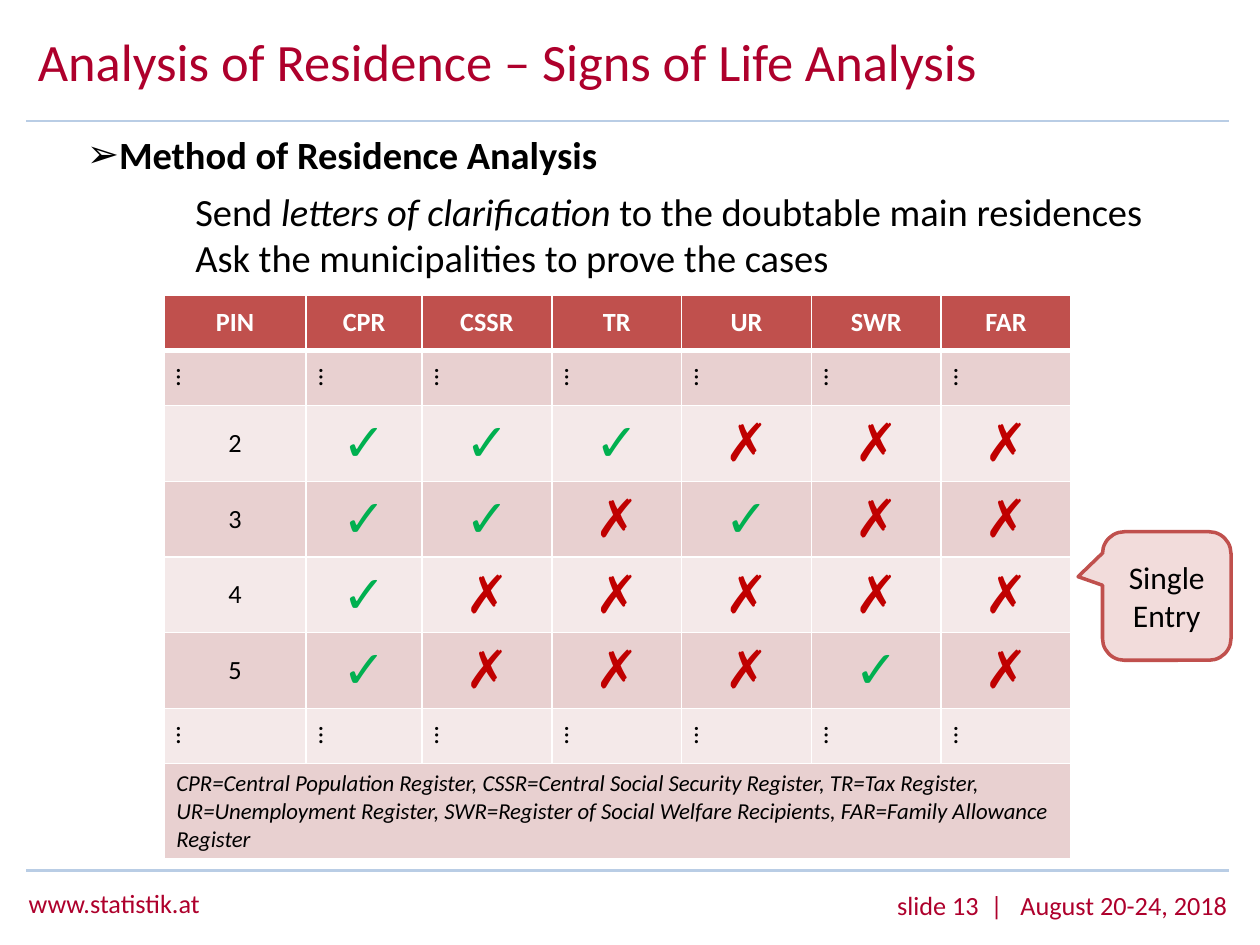
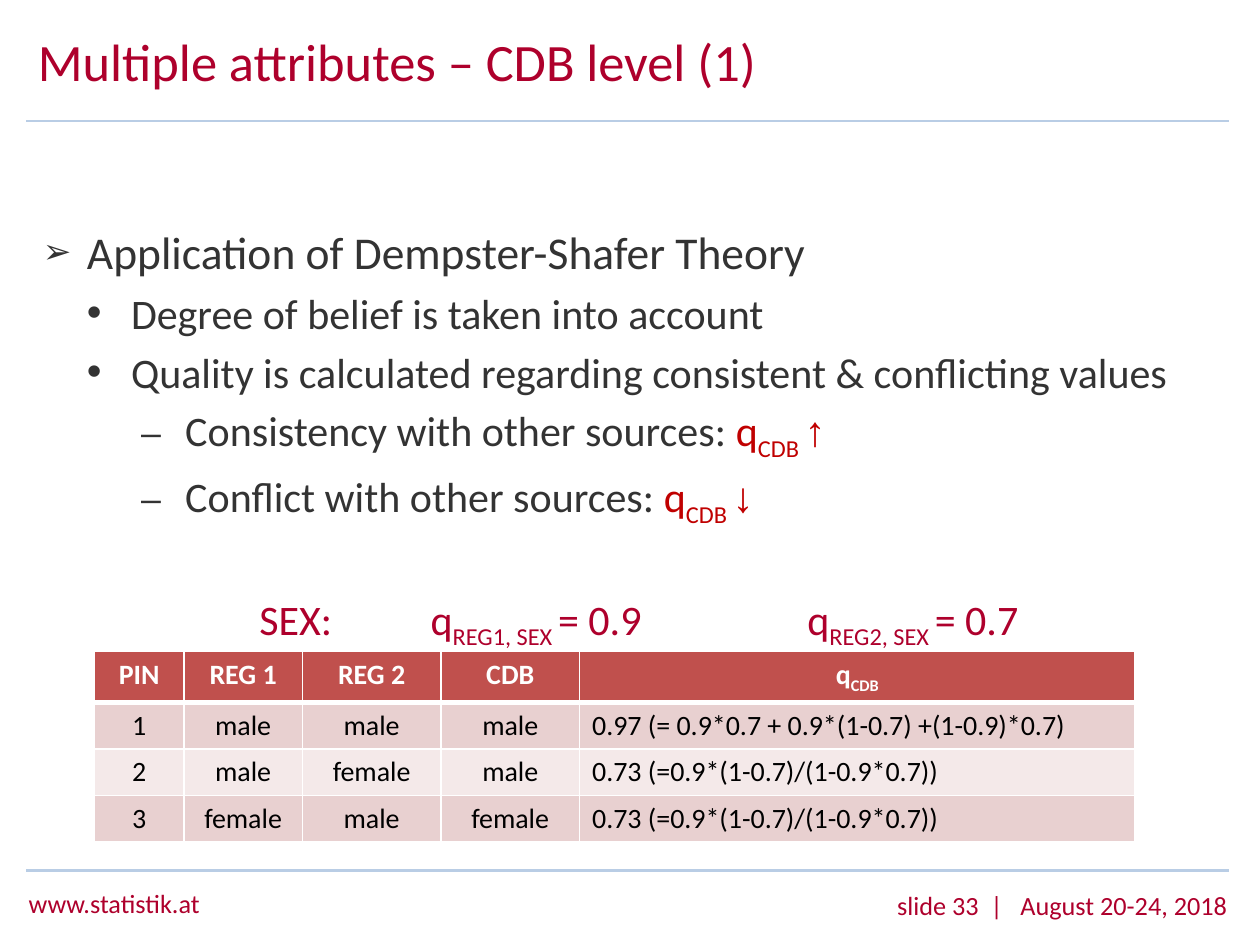
from dataclasses import dataclass

from lxml import etree
from pptx import Presentation
from pptx.dml.color import RGBColor
from pptx.enum.shapes import MSO_CONNECTOR, MSO_SHAPE
from pptx.enum.text import MSO_ANCHOR, MSO_AUTO_SIZE, PP_ALIGN
from pptx.oxml.ns import qn
from pptx.util import Inches, Pt

LEFT, CENTER, RIGHT = PP_ALIGN.LEFT, PP_ALIGN.CENTER, PP_ALIGN.RIGHT
TOP, MIDDLE = MSO_ANCHOR.TOP, MSO_ANCHOR.MIDDLE
NO_AUTOFIT = MSO_AUTO_SIZE.NONE
STRAIGHT = MSO_CONNECTOR.STRAIGHT
CALLOUT = MSO_SHAPE.ROUNDED_RECTANGULAR_CALLOUT


@dataclass(frozen=True)
class Theme:
    """Colours, fonts and type sizes of the deck."""
    font: str = "Calibri"
    arrow_font: str = "Times New Roman"
    brand: str = "AE002C"
    rule: str = "B9CDE5"
    white: str = "FFFFFF"
    black: str = "000000"
    body: str = "333333"
    accent: str = "C0504D"
    bands: tuple = ("E8D0D0", "F4E9E9")
    callout: str = "F2DCDB"
    yes: str = "00B050"
    no: str = "C00000"
    title_size: int = 30
    topic_size: int = 26
    list_size: int = 24
    method_size: int = 22
    callout_size: int = 18
    quality_size: int = 16
    small_size: int = 15
    legend_size: int = 13
    mark_size: int = 30


THEME = Theme()
SUB = {"baseline": "-25000"}
RED = {"color": THEME.no}
RED_SUB = {**RED, **SUB}
RED_ARROW = {**RED, "font": THEME.arrow_font}


@dataclass(frozen=True)
class Item:
    """One list paragraph: its spans, bullet, indents in inches and spacing in points."""
    spans: tuple
    size: int
    level: int = 0
    left: float = 0
    hang: float = 0
    bullet: str = ""
    bullet_percent: int = 100
    before: float = 0
    after: float = 0


def rgb(code):
    """Turn a hex code into a colour."""
    return RGBColor.from_string(code)


def format_span(span, size, color, bold=False, italic=False, font=THEME.font, baseline=None):
    """Give a run its font, size, colour and emphasis."""
    span.font.name, span.font.size = font, Pt(size)
    span.font.bold, span.font.italic = bold, italic
    span.font.color.rgb = rgb(color)
    if baseline:
        span._r.get_or_add_rPr().set("baseline", baseline)


def write_spans(para, spans, size, color, **common):
    """Fill a paragraph with (text, style) spans."""
    for text, style in spans:
        span = para.add_run()
        span.text = text
        format_span(span, size, **{"color": color, **common, **style})


def write_line(frame, text, size, color, align=LEFT, **style):
    """Put one formatted paragraph in a text frame."""
    frame.text = text
    para = frame.paragraphs[0]
    para.alignment = align
    for span in para.runs:
        format_span(span, size, color, **style)
    return para


def place(shape, box):
    """Move a shape to a left, top, width, height box."""
    shape.left, shape.top, shape.width, shape.height = map(Inches, box)


def add_label(page, box, text="", size=THEME.small_size, align=LEFT):
    """Add a text box in the brand colour."""
    frame = page.shapes.add_textbox(*map(Inches, box)).text_frame
    frame.word_wrap = True
    write_line(frame, text, size, THEME.brand, align)
    return frame


def add_rule(page, y):
    """Draw a horizontal rule across the page."""
    rule = page.shapes.add_connector(STRAIGHT, Inches(0.21), Inches(y), Inches(9.75), Inches(y))
    rule.line.color.rgb = rgb(THEME.rule)
    rule.line.width = Pt(1.5)
    etree.SubElement(rule._element.spPr, qn("a:effectLst"))


def add_page(deck, title, number):
    """Add a page with its title, two rules and footer."""
    page = deck.slides.add_slide(deck.slide_layouts[1])
    heading = page.shapes.title
    place(heading, (0.2, 0.05, 8.43, 0.94))
    frame = heading.text_frame
    frame.auto_size, frame.vertical_anchor = NO_AUTOFIT, MIDDLE
    write_line(frame, title, THEME.title_size, THEME.brand).line_spacing = Pt(30)
    for y in (0.96, 6.91):
        add_rule(page, y)
    add_label(page, (0.13, 6.99, 2.27, 0.35), "www.statistik.at")
    footer = f"slide {number}  |   August 20-24, 2018"
    add_label(page, (5.68, 7.01, 4.16, 0.35), footer, align=RIGHT)
    return page


def set_bullet(para, item):
    """Set a paragraph's indents and bullet."""
    properties = para._p.get_or_add_pPr()
    properties.set("marL", str(Inches(item.left)))
    properties.set("indent", str(Inches(-item.hang)))
    if item.bullet:
        etree.SubElement(properties, qn("a:buSzPct"), val=str(item.bullet_percent * 1000))
        etree.SubElement(properties, qn("a:buChar"), char=item.bullet)
    else:
        etree.SubElement(properties, qn("a:buNone"))


def fill_body(page, box, items, color):
    """Place the body placeholder and write its list."""
    body = page.placeholders[1]
    place(body, box)
    frame = body.text_frame
    frame.auto_size, frame.vertical_anchor = NO_AUTOFIT, TOP
    for index, item in enumerate(items):
        para = frame.add_paragraph() if index else frame.paragraphs[0]
        para.level = item.level
        set_bullet(para, item)
        para.space_before, para.space_after = Pt(item.before), Pt(item.after)
        write_spans(para, item.spans, item.size, color)


def paint_cell(cell, row):
    """Fill a cell by row band and draw its white borders."""
    cell.fill.solid()
    cell.fill.fore_color.rgb = rgb(THEME.bands[(row - 1) % 2] if row else THEME.accent)
    properties = cell._tc.get_or_add_tcPr()
    for index, side in enumerate("LRTB"):
        heavy = (side, row) in (("B", 0), ("T", 1))
        border = etree.Element(qn(f"a:ln{side}"), w=str(Pt(3 if heavy else 1)))
        fill = etree.SubElement(border, qn("a:solidFill"))
        etree.SubElement(fill, qn("a:srgbClr"), val=THEME.white)
        properties.insert(index, border)


def add_grid(page, corner, widths, heights):
    """Add a banded table with the given column widths and row heights."""
    box = (*corner, sum(widths), sum(heights))
    grid = page.shapes.add_table(len(heights), len(widths), *map(Inches, box)).table
    for column, width in zip(grid.columns, widths):
        column.width = Inches(width)
    for index, height in enumerate(heights):
        grid.rows[index].height = Inches(height)
        for cell in grid.rows[index].cells:
            paint_cell(cell, index)
    return grid


def write_register_cell(cell, text, header):
    """Write a heading, mark, ellipsis or PIN in a register cell."""
    cell.vertical_anchor = MIDDLE
    marks = {"✓": THEME.yes, "✗": THEME.no}
    size = THEME.mark_size if text in marks else THEME.small_size
    color = THEME.white if header else marks.get(text, THEME.black)
    write_line(cell.text_frame, text, size, color, CENTER, bold=header)
    if text == "…":
        cell._tc.get_or_add_tcPr().set("vert", "vert")


def add_register_table(page, corner):
    """Show which registers hold a sign of life for each PIN."""
    rows = (("PIN", "CPR", "CSSR", "TR", "UR", "SWR", "FAR"), "…" * 7,
            "2✓✓✓✗✗✗", "3✓✓✗✓✗✗", "4✓✗✗✗✗✗", "5✓✗✗✗✓✗", "…" * 7)
    legend = ("CPR=Central Population Register, CSSR=Central Social Security Register, "
              "TR=Tax Register, UR=Unemployment Register, SWR=Register of Social Welfare "
              "Recipients, FAR=Family Allowance Register")
    heights = [0.44] * 2 + [0.6] * 4 + [0.44, 0.74]
    grid = add_grid(page, corner, [1.13, 0.92] + [1.03] * 5, heights)
    for row, texts in enumerate(rows):
        for column, text in enumerate(texts):
            write_register_cell(grid.cell(row, column), text, row == 0)
    footer = grid.cell(len(rows), 0)
    footer.merge(grid.cell(len(rows), 6))
    footer.vertical_anchor = MIDDLE
    write_line(footer.text_frame, legend, THEME.legend_size, THEME.black, italic=True)


def add_callout(page, box, text):
    """Add the callout pointing at the single-entry row."""
    callout = page.shapes.add_shape(CALLOUT, *map(Inches, box))
    callout.shadow.inherit = False
    for index, value in enumerate((-0.69, -0.15, 0.17)):
        callout.adjustments[index] = value
    callout.fill.solid()
    callout.fill.fore_color.rgb = rgb(THEME.callout)
    callout.line.color.rgb = rgb(THEME.accent)
    callout.line.width = Pt(2)
    callout.text_frame.vertical_anchor = MIDDLE
    write_line(callout.text_frame, text, THEME.callout_size, THEME.black, CENTER)


def add_quality_caption(page, box):
    """Write the quality of each register on tab stops."""
    para = add_label(page, box).paragraphs[0]
    stops = etree.SubElement(para._p.get_or_add_pPr(), qn("a:tabLst"))
    for position in (1.36, 4.35):
        etree.SubElement(stops, qn("a:tab"), pos=str(Inches(position)), algn="l")
    spans = (("SEX:\tq", {}), ("REG1, SEX ", SUB), ("= 0.9\tq", {}),
             ("REG2, SEX ", SUB), ("= 0.7", {}))
    write_spans(para, spans, THEME.list_size, THEME.brand)


def add_quality_table(page, corner):
    """Show the combined quality for each PIN."""
    conflict = "0.73 (=0.9*(1-0.7)/(1-0.9*0.7))"
    rows = (("PIN", "REG 1", "REG 2", "CDB", "q"),
            ("1", "male", "male", "male", "0.97 (= 0.9*0.7 + 0.9*(1-0.7) +(1-0.9)*0.7)"),
            ("2", "male", "female", "male", conflict),
            ("3", "female", "male", "female", conflict))
    grid = add_grid(page, corner, [0.71, 0.94, 1.1, 1.1, 4.41], [0.37] * 4)
    for row, texts in enumerate(rows):
        color = THEME.black if row else THEME.white
        for column, text in enumerate(texts):
            align = LEFT if row and column == 4 else CENTER
            write_line(grid.cell(row, column).text_frame, text, THEME.quality_size,
                       color, align, bold=row == 0)
    heading = grid.cell(0, 4).text_frame.paragraphs[0]
    write_spans(heading, (("CDB", SUB),), THEME.quality_size, THEME.white, bold=True)


def build_residence_page(deck):
    """Build the signs of life page."""
    page = add_page(deck, "Analysis of Residence – Signs of Life Analysis", 13)
    size = THEME.method_size
    letters = (("Send ", {}), ("letters of clarification ", {"italic": True}),
               ("to the doubtable main residences", {}))
    prove = (("Ask the municipalities to prove the cases", {}),)
    fill_body(page, (0.59, 0.99, 9.06, 1.33), (
        Item((("Method of Residence Analysis", {"bold": True}),), size,
             left=0.25, hang=0.25, bullet="➢", after=6),
        Item(letters, size, level=1, left=0.86),
        Item(prove, size, level=1, left=0.86)), THEME.black)
    add_register_table(page, (1.3, 2.34))
    add_callout(page, (8.75, 4.22, 1.02, 1.02), "Single Entry")


def build_attributes_page(deck):
    """Build the multiple attributes page."""
    page = add_page(deck, "Multiple attributes – CDB level (1)", 33)
    items = [Item((("Application of Dempster-Shafer Theory", {}),), THEME.topic_size,
                  left=0.79, hang=0.35, bullet="➢", bullet_percent=75)]
    for text in ("Degree of belief is taken into account",
                 "Quality is calculated regarding consistent & conflicting values"):
        items.append(Item(((text, {}),), THEME.list_size, level=1, left=1.14,
                          hang=0.35, bullet="•", before=4.8))
    for relation, arrow in (("Consistency", "↑"), ("Conflict", "↓")):
        spans = ((f"{relation} with other sources: ", {}), ("q", RED),
                 ("CDB ", RED_SUB), (arrow, RED_ARROW))
        items.append(Item(spans, THEME.list_size, level=2, left=1.57, hang=0.35,
                          bullet="–", bullet_percent=85, before=4.8))
    fill_body(page, (-0.2, 1.73, 9.76, 2.9), items, THEME.body)
    add_quality_caption(page, (1.96, 4.66, 6.6, 0.5))
    add_quality_table(page, (0.75, 5.17))


def main():
    """Build and save the deck."""
    deck = Presentation()
    deck.slide_width, deck.slide_height = Inches(10), Inches(7.5)
    build_residence_page(deck)
    build_attributes_page(deck)
    deck.save("out.pptx")


if __name__ == "__main__":
    main()
